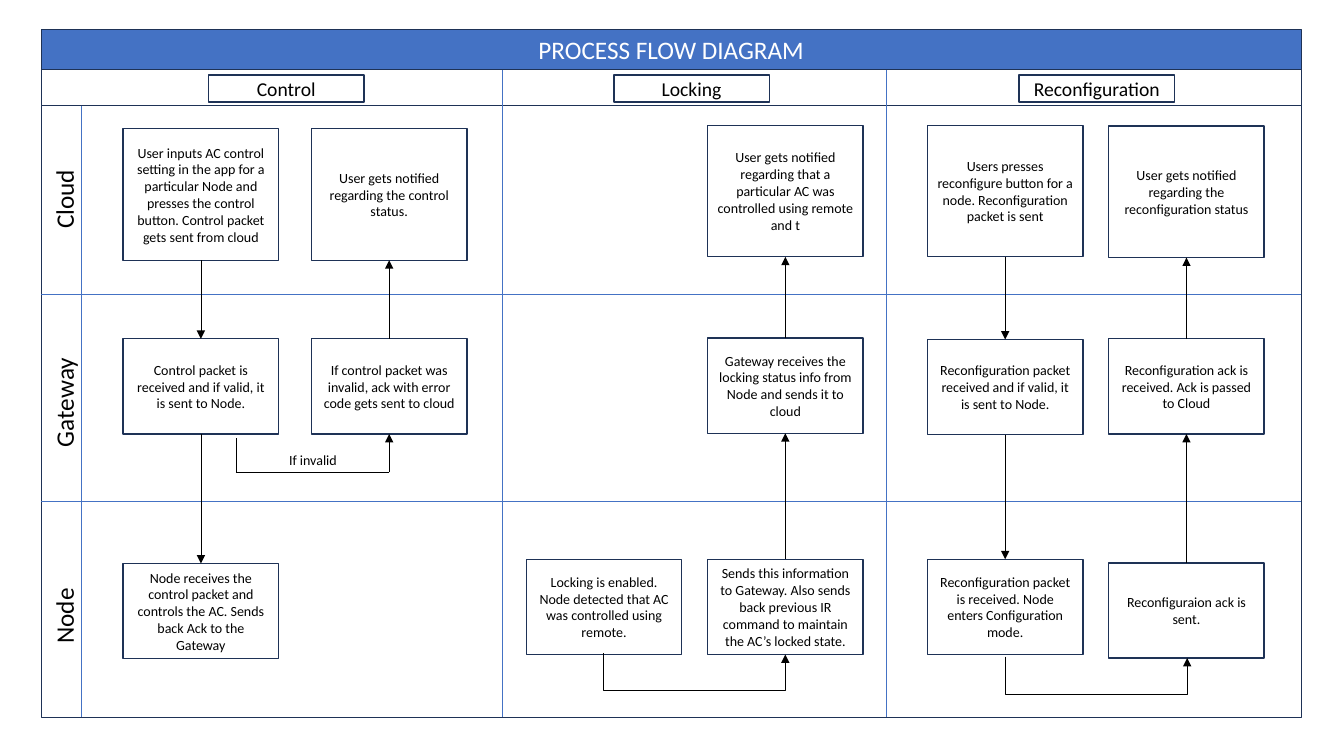
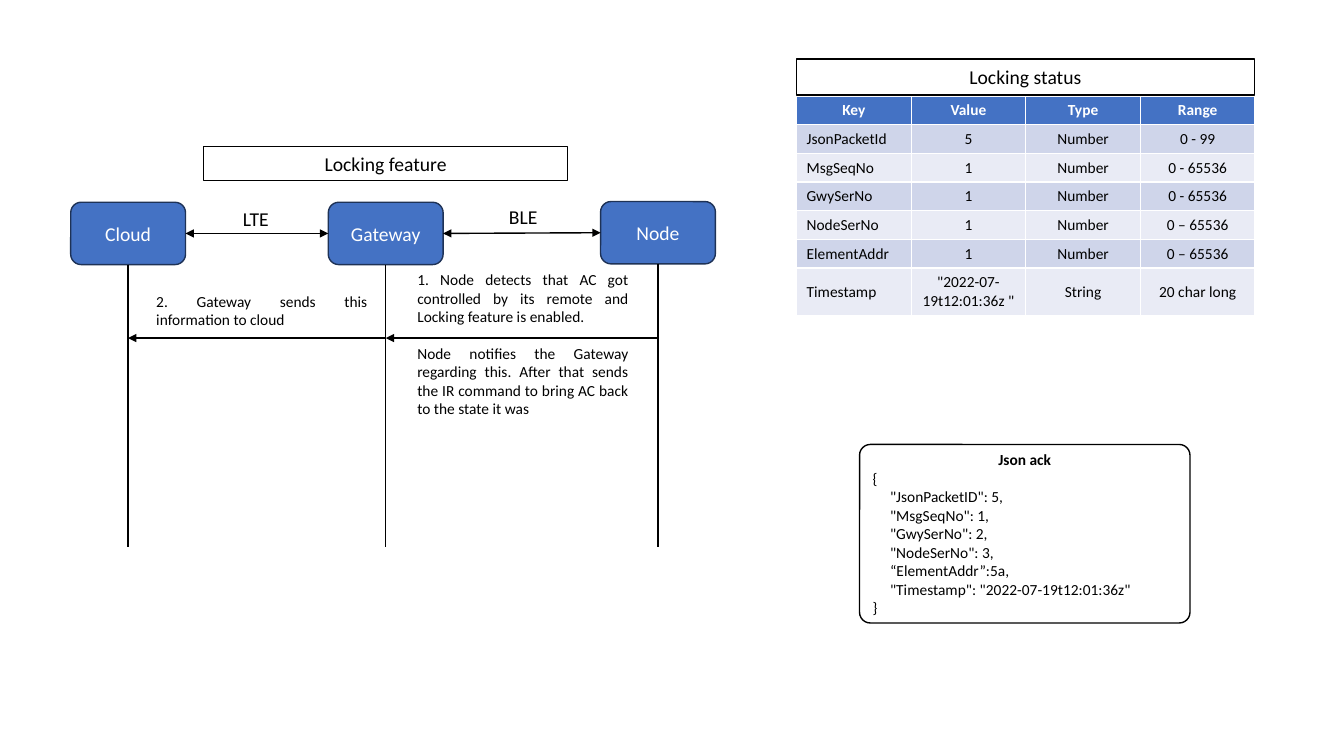
from itertools import pairwise

from lxml.etree import SubElement
from pptx import Presentation
from pptx.dml.color import RGBColor
from pptx.enum.shapes import MSO_CONNECTOR as LINE, MSO_SHAPE as SHAPE
from pptx.enum.text import MSO_ANCHOR as ANCHOR, PP_ALIGN as ALIGN
from pptx.oxml.ns import qn
from pptx.util import Pt


class Theme:
    font = "Calibri"
    blue = RGBColor.from_string("4472C4")
    navy = RGBColor.from_string("1E3256")
    white = RGBColor.from_string("FFFFFF")
    black = RGBColor.from_string("000000")
    bands = [RGBColor.from_string("CFD5EA"), RGBColor.from_string("E9EBF5")]
    title, heading, body, step = Pt(18), Pt(14), Pt(11), Pt(10)
    thin, thick = 0.5, 1


T = Theme
TITLE = {"fill": T.blue, "line": T.navy, "color": T.white, "size": T.title}
PANEL = {"fill": T.white, "line": T.navy}
STEP = {**PANEL, "size": T.step}
TAB = {**PANEL, "size": T.heading}
ACTOR = {**TITLE, "size": T.heading, "kind": SHAPE.ROUNDED_RECTANGLE}
CAPTION = {"fill": T.white, "line": T.black, "size": T.heading}
CODE = {"fill": T.white, "line": T.black, "size": T.body,
        "kind": SHAPE.ROUNDED_RECTANGLE, "align": ALIGN.JUSTIFY}
LABEL = {"size": T.heading, "anchor": ANCHOR.TOP}
NOTE = {"size": T.body, "align": ALIGN.JUSTIFY, "anchor": ANCHOR.TOP}
LANE = {"size": T.title, "anchor": ANCHOR.TOP}

FRAME = (29.5, 75.5, 900, 437)
LANES = [("Cloud", 142.5), ("Gateway", 287.5), ("Node", 440)]
LANE_RULES = [210, 358]
SIDE_RULE = 58
FLOW_RULES = [358.5, 633]
FLOWS = ["Control", "Locking", "Reconfiguration"]
STEP_W = 111
STEP_H = [94, 68, 68]
STEPS = [
    (88, (92, 242, 402.5), "down", [
        "User inputs AC control setting in the app for a particular Node and presses "
        "the control button. Control packet gets sent from cloud",
        "Control packet is received and if valid, it is sent to Node.",
        "Node receives the control packet and controls the AC. Sends back Ack to the Gateway"]),
    (222.5, (92, 242, 0), "up", [
        "User gets notified regarding the control status.",
        "If control packet was invalid, ack with error code gets sent to cloud",
        None]),
    (376, (0, 0, 399.5), "up", [
        None,
        None,
        "Locking is enabled. Node detected that AC was controlled using remote."]),
    (505.5, (89.5, 241.5, 399.5), "up", [
        "User gets notified regarding that a particular AC was controlled using remote and t",
        "Gateway receives the locking status info from Node and sends it to cloud",
        "Sends this information to Gateway. Also sends back previous IR command to maintain "
        "the AC’s locked state."]),
    (662.5, (89.5, 242.5, 399.5), "down", [
        "Users presses reconfigure button for a node. Reconfiguration packet is sent",
        "Reconfiguration packet received and if valid, it is sent to Node.",
        "Reconfiguration packet is received. Node enters Configuration mode."]),
    (792, (90, 242, 402), "up", [
        "User gets notified regarding the reconfiguration status",
        "Reconfiguration ack is received. Ack is passed to Cloud",
        "Reconfiguraion ack is sent."]),
]
INVALID_ROUTE = [(168.5, 313), (168.5, 337.5), (278, 337.5), (278, 310)]
TURNS = [(431, 561, 467), (718, 848, 469.5)]
TURN_DEPTH = 27

ACTORS = [("Cloud", 50.5, 144.5), ("Gateway", 234.5, 144.5), ("Node", 429, 144)]
ACTOR_SIZE = (82, 44.5)
LIFE_END = 391
MESSAGE_Y = 241.5
LINKS = [("LTE", 152.5, 144.5), ("BLE", 343.5, 143)]
NOTES = [
    ("1. Node detects that AC got controlled by its remote and Locking feature is enabled.",
     (291, 189.5, 165, 47.5)),
    ("2. Gateway sends this information to cloud", (104.5, 205, 165, 34)),
    ("Node notifies the Gateway regarding this. After that sends the IR command "
     "to bring AC back to the state it was", (291, 242, 165, 60.5)),
]
FIELDS = [
    ("Key", "Value", "Type", "Range"),
    ("JsonPacketId", "5", "Number", "0 - 99"),
    ("MsgSeqNo", "1", "Number", "0 - 65536"),
    ("GwySerNo", "1", "Number", "0 - 65536"),
    ("NodeSerNo", "1", "Number", "0 – 65536"),
    ("ElementAddr", "1", "Number", "0 – 65536"),
    ("Timestamp", '"2022-07-19t12:01:36z "', "String", "20 char long"),
]
TABLE_AT = (569, 68.5, 327.5, 157)
ROW_H = [20.5] * 6 + [34]
JSON_ACK = """Json ack
{
     "JsonPacketID": 5,
     "MsgSeqNo": 1,
     "GwySerNo": 2,
     "NodeSerNo": 3,
     “ElementAddr”:5a,
     "Timestamp": "2022-07-19t12:01:36z"
}"""


def apply(target, values):
    for name, value in values.items():
        setattr(target, name, value)


def write(tf, text, size, color=T.black, align=ALIGN.CENTER, bold=False):
    for i, line in enumerate(text.split("\n")):
        p = tf.add_paragraph() if i else tf.paragraphs[0]
        p.alignment = align
        r = p.add_run()
        r.text = line
        apply(r.font, {"name": T.font, "size": size, "bold": bold})
        r.font.color.rgb = color


def box(slide, at, text="", kind=SHAPE.RECTANGLE, fill=None, line=None,
        anchor=ANCHOR.MIDDLE, **style):
    at = [Pt(v) for v in at]
    if fill is None:
        sp = slide.shapes.add_textbox(*at)
    else:
        sp = slide.shapes.add_shape(kind, *at)
        sp.shadow.inherit = False
        sp.fill.solid()
        sp.fill.fore_color.rgb = fill
        sp.line.color.rgb = line
        sp.line.width = Pt(T.thick)
    apply(sp.text_frame, {"word_wrap": True, "vertical_anchor": anchor})
    if text:
        write(sp.text_frame, text, **style)
    return sp


def line(slide, start, end, color=T.black, width=T.thin, ends=(), kind=LINE.STRAIGHT):
    c = slide.shapes.add_connector(kind, *(Pt(v) for v in (*start, *end)))
    c.line.color.rgb = color
    c.line.width = Pt(width)
    for tag in ends:
        SubElement(c.line._get_or_add_ln(), qn(f"a:{tag}"), type="triangle")
    SubElement(c._element.spPr, qn("a:effectLst"))
    return c


def link(slide, a, a_site, b, b_site, **style):
    c = line(slide, (0, 0), (0, 0), **style)
    c.begin_connect(a, a_site)
    c.end_connect(b, b_site)


def turn(slide, x1, x2, y):
    mid, span = (x1 + x2) / 2, x2 - x1
    c = line(slide, (mid - 0.5, y - span / 2), (mid + 0.5, y + span / 2),
             ends=["tailEnd"], kind=LINE.ELBOW)
    xfrm = c._element.spPr.find(qn("a:xfrm"))
    xfrm.set("rot", str(270 * 60000))
    xfrm.set("flipH", "1")
    geom = c._element.spPr.find(qn("a:prstGeom"))
    SubElement(geom.find(qn("a:avLst")), qn("a:gd"),
               name="adj1", fmla=f"val {TURN_DEPTH * 100000}")


def process_flow(slide):
    x, y, w, h = FRAME
    right, bottom = x + w, y + h
    box(slide, (x, 21, w, 28.5), "PROCESS FLOW DIAGRAM", **TITLE)
    box(slide, FRAME, **PANEL)
    box(slide, (x, 49.5, w, 26), **PANEL)
    rules = [((x, v), (right, v)) for v in LANE_RULES]
    rules += [((SIDE_RULE, y), (SIDE_RULE, bottom))]
    rules += [((v, 50), (v, bottom)) for v in FLOW_RULES]
    for start, end in rules:
        line(slide, start, end, T.blue)
    for name, mid in LANES:
        box(slide, (-5, mid - 14.5, 101.5, 29), name, **LANE).rotation = 270
    for i, name in enumerate(FLOWS):
        box(slide, (149 + i * 289.5, 53.5, STEP_W, 19.5), name, **TAB)

    for left, tops, way, texts in STEPS:
        boxes = [box(slide, (left, top, STEP_W, height), text, **STEP)
                 for top, height, text in zip(tops, STEP_H, texts) if text]
        for upper, lower in pairwise(boxes):
            route = (upper, 2, lower, 0) if way == "down" else (lower, 0, upper, 2)
            link(slide, *route, ends=["tailEnd"])
    legs = list(pairwise(INVALID_ROUTE))
    for leg in legs:
        line(slide, *leg, ends=["tailEnd"] if leg == legs[-1] else [])
    box(slide, (192, 319, 63, 19.5), "If invalid", size=T.step, anchor=ANCHOR.TOP)
    for x1, x2, at_y in TURNS:
        turn(slide, x1, x2, at_y)


def field_table(slide):
    table = slide.shapes.add_table(len(FIELDS), len(FIELDS[0]), *(Pt(v) for v in TABLE_AT)).table
    for i, (row, height) in enumerate(zip(FIELDS, ROW_H)):
        table.rows[i].height = Pt(height)
        for j, text in enumerate(row):
            cell = table.cell(i, j)
            cell.vertical_anchor = ANCHOR.MIDDLE
            cell.fill.solid()
            cell.fill.fore_color.rgb = T.bands[(i - 1) % 2] if i else T.blue
            write(cell.text_frame, text, T.body, T.black if i else T.white,
                  ALIGN.LEFT if i and not j else ALIGN.CENTER, bold=not i)


def locking(slide):
    w, h = ACTOR_SIZE
    box(slide, (145.5, 104.5, 260, 24.5), "Locking feature", **CAPTION)
    actors = [box(slide, (x, y, w, h), name, **ACTOR) for name, x, y in ACTORS]
    centers = [x + w / 2 for _, x, _ in ACTORS]
    for center, (_, _, y) in zip(centers, ACTORS):
        line(slide, (center, y + h), (center, LIFE_END), width=T.thick)
    for a, b in pairwise(actors):
        link(slide, a, 3, b, 1, width=T.thick, ends=["headEnd", "tailEnd"])
    for a, b in pairwise(centers):
        line(slide, (b, MESSAGE_Y), (a, MESSAGE_Y), width=T.thick, ends=["tailEnd"])
    for name, x, y in LINKS:
        box(slide, (x, y, 60.5, 24.5), name, **LABEL)
    for text, at in NOTES:
        box(slide, at, text, **NOTE)

    field_table(slide)
    box(slide, (569, 42, 327, 26), "Locking status", **CAPTION)
    ack = box(slide, (614, 317.5, 236, 127.5), JSON_ACK, **CODE)
    ack.adjustments[0] = 0.06
    head = ack.text_frame.paragraphs[0]
    head.alignment = ALIGN.CENTER
    head.runs[0].font.bold = True


def main():
    prs = Presentation()
    apply(prs, {"slide_width": Pt(960), "slide_height": Pt(540)})
    for build in (process_flow, locking):
        build(prs.slides.add_slide(prs.slide_layouts[6]))
    prs.save("out.pptx")


if __name__ == "__main__":
    main()
